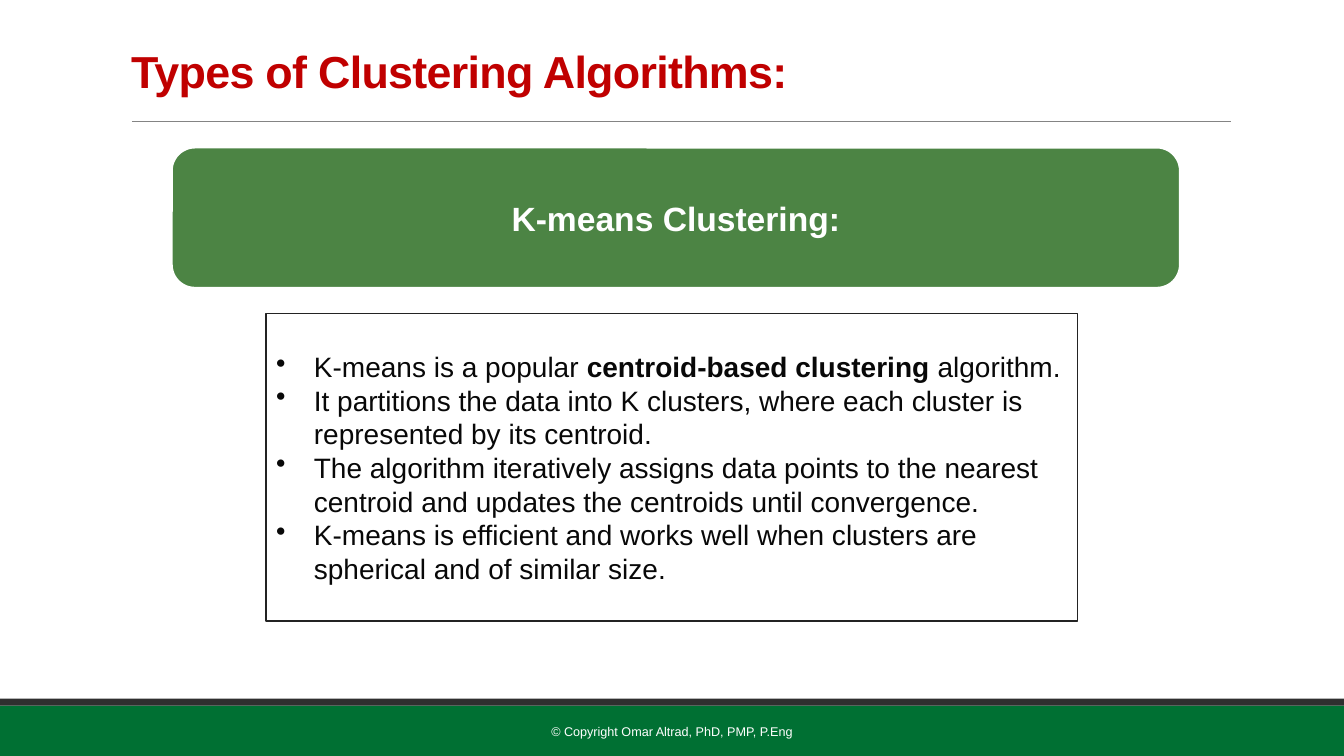
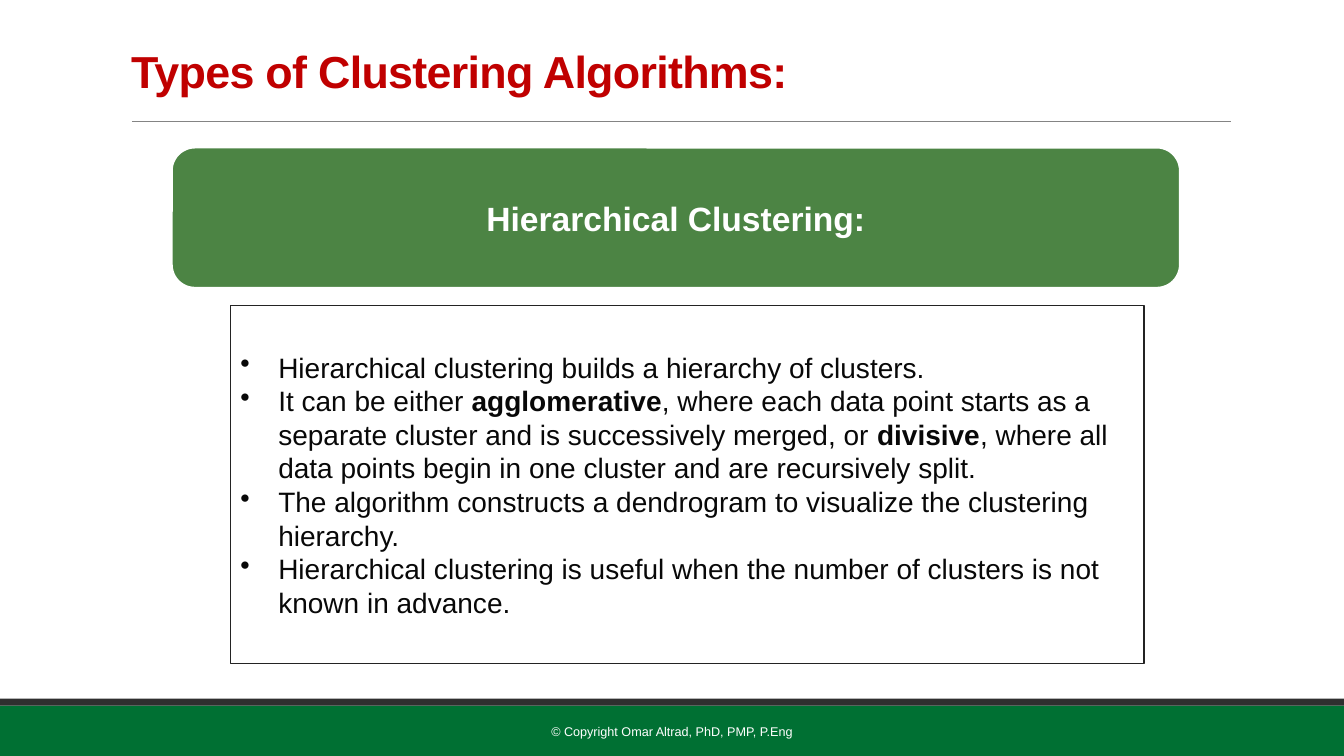
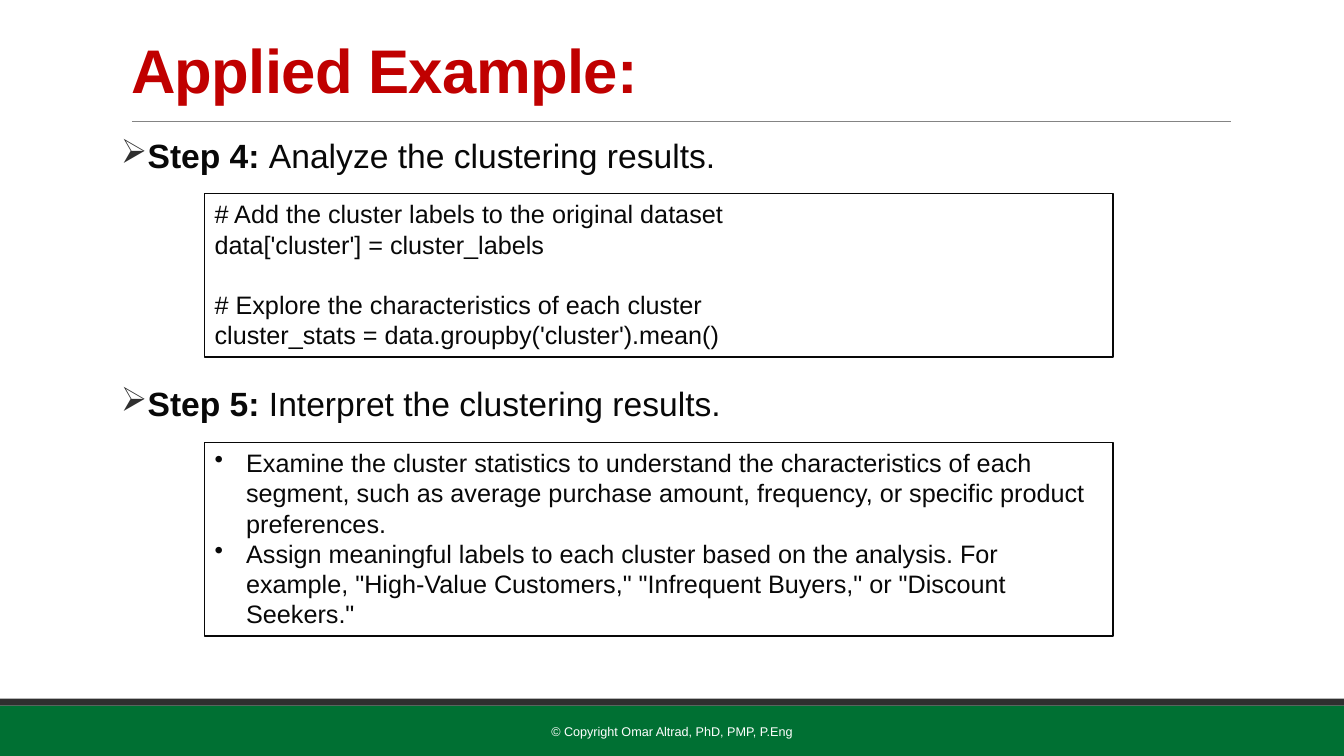
"""Build three slides on clustering algorithms."""
from pptx import Presentation
from pptx.dml.color import RGBColor
from pptx.enum.shapes import MSO_CONNECTOR as Link, MSO_SHAPE as Kind
from pptx.enum.text import MSO_ANCHOR as Anchor, MSO_AUTO_SIZE as Fit, PP_ALIGN as Align
from pptx.oxml.ns import qn
from pptx.util import Pt
from lxml.etree import SubElement as sub

hue = RGBColor.from_string
RED, GREEN, MOSS = "C00000", "007033", "4C8444"
INK, EDGE, DARK, GREY, WHITE = "080808", "232323", "2F2F2F", "848484", "FFFFFF"


def write(shape, lines, size, tint=INK, bold=False, align=Align.LEFT,
          anchor=Anchor.MIDDLE, lead=None, track=0, mark="", hang=0,
          mark_tint=None, side=7.2, gaps=()):
    """Fill a shape with lines, where ** switches bold."""
    frame = shape.text_frame
    frame.word_wrap, frame.auto_size = True, Fit.NONE
    frame.vertical_anchor = anchor
    frame.margin_left = frame.margin_right = Pt(side)
    frame.margin_top = frame.margin_bottom = Pt(3.6)
    for i, line in enumerate(lines):
        para = frame.paragraphs[0] if i == 0 else frame.add_paragraph()
        para.alignment = align
        if lead:
            para.line_spacing = lead
        if i in gaps:
            para.space_before = lead
        if mark:
            props = para._p.get_or_add_pPr()
            props.set("marL", str(Pt(hang)))
            props.set("indent", str(-Pt(hang)))
            if mark_tint:
                sub(sub(props, qn("a:buClr")), qn("a:srgbClr"), val=mark_tint)
            sub(props, qn("a:buChar"), char=mark)
        for j, part in enumerate(line.split("**")):
            if not part:
                continue
            run = para.add_run()
            run.text = part
            font = run.font
            font.name, font.size = "Arial", Pt(size)
            font.bold = bold or j % 2 == 1
            font.color.rgb = hue(tint)
            if track:
                run._r.get_or_add_rPr().set("spc", str(track))


def block(slide, kind, box, fill=None, edge=None, width=1):
    """Add a flat preset shape."""
    shape = slide.shapes.add_shape(kind, *map(Pt, box))
    shape.shadow.inherit = False
    if fill:
        shape.fill.solid()
        shape.fill.fore_color.rgb = hue(fill)
    else:
        shape.fill.background()
    if edge:
        shape.line.color.rgb = hue(edge)
        shape.line.width = Pt(width)
    else:
        shape.line.fill.background()
    return shape


deck = Presentation()
deck.slide_width, deck.slide_height = Pt(960), Pt(540)

slides = []
for title, size in [("Types of Clustering Algorithms:", 32)] * 2 + [("Applied Example:", 44)]:
    slide = deck.slides.add_slide(deck.slide_layouts[5])
    slides.append(slide)
    block(slide, Kind.RECTANGLE, (0, 504, 960, 36), GREEN)
    block(slide, Kind.RECTANGLE, (0, 499, 960, 5), DARK)
    rule = slide.shapes.add_connector(Link.STRAIGHT, Pt(94.3), Pt(86.4), Pt(879), Pt(86.4))
    rule.line.color.rgb = hue(GREY)
    rule.line.width = Pt(0.5)
    sub(rule._element.spPr, qn("a:effectLst"))
    head = slide.shapes.title
    head.left, head.top, head.width, head.height = map(Pt, (86.4, 22.3, 792, 62))
    write(head, [title], size, RED, bold=True, lead=0.85, track=-50)
    foot = slide.shapes.add_textbox(Pt(290.2), Pt(508.3), Pt(379.5), Pt(28.8))
    write(foot, ["© Copyright Omar Altrad, PhD, PMP, P.Eng"], 9, WHITE, align=Align.CENTER)

topics = [
    ("K-means Clustering:", (190.1, 224, 579.6, 219.6), [
        "K-means is a popular **centroid-based clustering **algorithm.",
        "It partitions the data into K clusters, where each cluster is represented by its centroid.",
        "The algorithm iteratively assigns data points to the nearest centroid "
        "and updates the centroids until convergence.",
        "K-means is efficient and works well when clusters are spherical and of similar size.",
    ]),
    ("Hierarchical Clustering:", (164.7, 218.3, 652.3, 255.6), [
        "Hierarchical clustering builds a hierarchy of clusters.",
        "It can be either **agglomerative**, where each data point starts as a separate cluster "
        "and is successively merged, or **divisive**, where all data points begin in one cluster "
        "and are recursively split.",
        "The algorithm constructs a dendrogram to visualize the clustering hierarchy.",
        "Hierarchical clustering is useful when the number of clusters is not known in advance.",
    ]),
]
for slide, (name, box, facts) in zip(slides, topics):
    banner = block(slide, Kind.ROUNDED_RECTANGLE, (122.4, 105.1, 720.7, 100.8), MOSS, WHITE, 2)
    write(banner, [name], 24, WHITE, bold=True, align=Align.CENTER)
    panel = block(slide, Kind.RECTANGLE, box, WHITE, EDGE, 1.25)
    write(panel, facts, 20, lead=Pt(24), mark="•", hang=27)

steps = [
    ("**Step 4: **Analyze the clustering results.", 116.6, [
        "# Add the cluster labels to the original dataset",
        "data['cluster'] = cluster_labels",
        "# Explore the characteristics of each cluster",
        "cluster_stats = data.groupby('cluster').mean()",
    ], {"gaps": (2,)}),
    ("**Step 5: **Interpret the clustering results.", 138.2, [
        "Examine the cluster statistics to understand the characteristics of each segment, "
        "such as average purchase amount, frequency, or specific product preferences.",
        "Assign meaningful labels to each cluster based on the analysis. For example, "
        '"High-Value Customers," "Infrequent Buyers," or "Discount Seekers."',
    ], {"mark": "•", "hang": 22.5}),
]
slide = slides[2]
for i, (name, high, lines, style) in enumerate(steps):
    top = 95.8 + i * 177.6
    step = slide.shapes.add_textbox(Pt(86.4), Pt(top), Pt(792), Pt(36))
    write(step, [name], 24, anchor=Anchor.TOP, lead=0.9, mark="➢", hang=7.2,
          mark_tint=DARK, side=0)
    panel = block(slide, Kind.RECTANGLE, (146.2, top + 42.6, 648.7, high), edge=INK)
    write(panel, lines, 18, anchor=Anchor.TOP, lead=Pt(21.6), **style)

deck.save("out.pptx")
